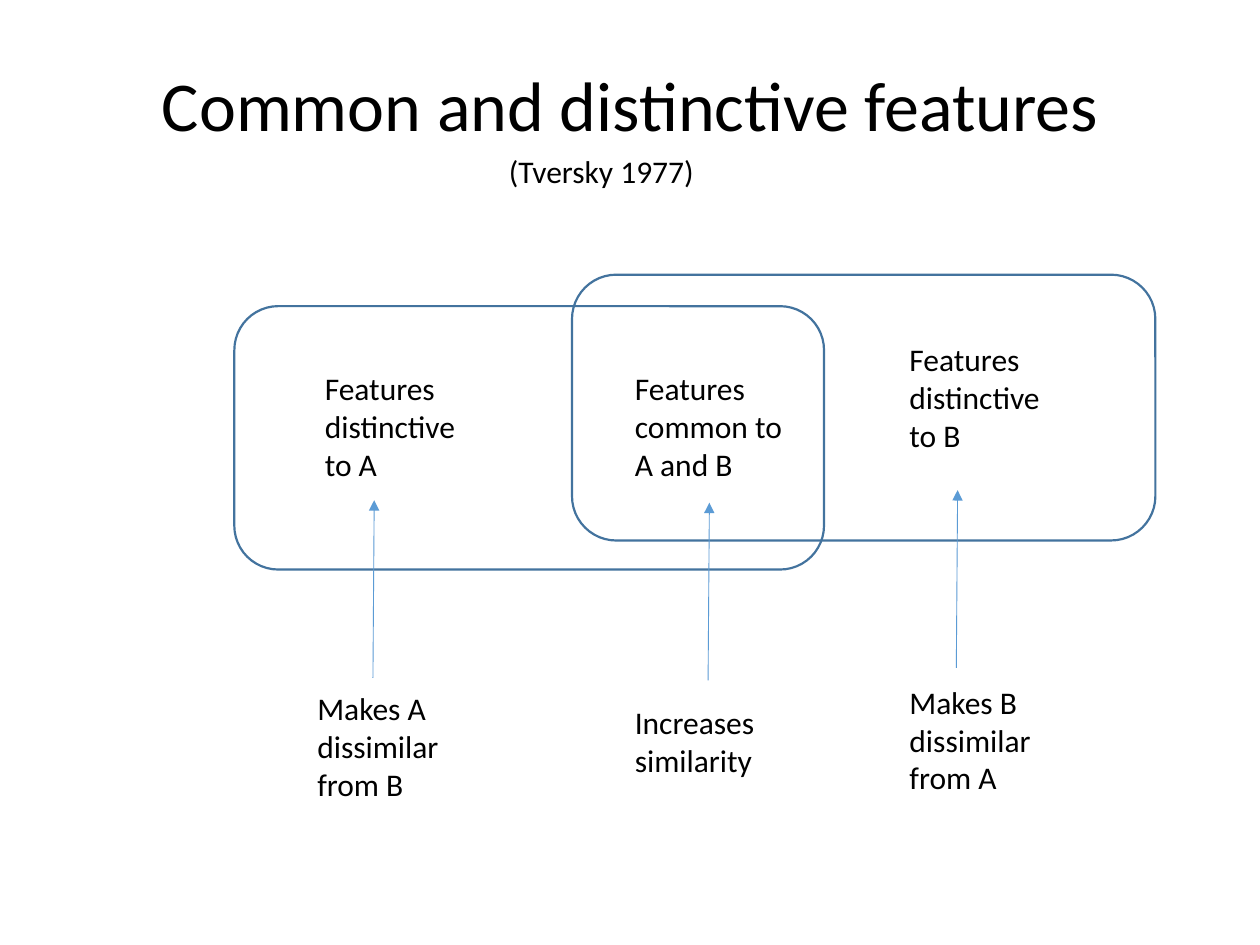
from typing import NamedTuple

from lxml import etree
from pptx import Presentation
from pptx import util as u
from pptx.dml.color import RGBColor
from pptx.enum import shapes, text
from pptx.oxml.ns import qn

PX = u.Inches(1) // 100  # 100 px to the inch
FONT = "Calibri"
BLACK = RGBColor(0x00, 0x00, 0x00)
OUTLINE = RGBColor(0x43, 0x73, 0x9E)
ARROW = RGBColor(0x5B, 0x9B, 0xD5)


class Box(NamedTuple):
    left: int
    top: int
    width: int
    height: int

    def emu(self) -> list[int]:
        return [value * PX for value in self]


class Label(NamedTuple):
    words: str
    box: Box
    wrap: bool = True


class Arrow(NamedTuple):
    x: int
    tip: int


ARROW_RISE = 141
ARROW_LEAN = 1

TITLE_BOX = Box(69, 40, 862, 92)
FEATURE_SETS = [Box(186, 243, 468, 209), Box(454, 218, 463, 211)]
LABELS = [
    Label("(Tversky 1977)", Box(394, 116, 175, 40), wrap=False),
    Label("Features distinctive to A", Box(248, 288, 126, 101)),
    Label("Features common to A and B", Box(494, 288, 138, 101)),
    Label("Features distinctive to B", Box(712, 265, 126, 101)),
    Label("Makes A dissimilar from B", Box(242, 542, 140, 101)),
    Label("Increases similarity", Box(494, 553, 140, 71)),
    Label("Makes B dissimilar from A", Box(712, 537, 140, 101)),
]
ARROWS = [Arrow(296, 397), Arrow(562, 399), Arrow(759, 389)]


def style_text(para, size: int) -> None:
    para.font.name = FONT
    para.font.size = u.Pt(size)
    para.font.color.rgb = BLACK


def set_title(slide, words: str) -> None:
    title = slide.shapes.title
    title.left, title.top, title.width, title.height = TITLE_BOX.emu()
    frame = title.text_frame
    frame.text = words
    frame.vertical_anchor = text.MSO_ANCHOR.MIDDLE
    para = frame.paragraphs[0]
    para.alignment = text.PP_ALIGN.CENTER
    para.line_spacing = 0.9
    style_text(para, 40)


def add_feature_set(slide, box: Box) -> None:
    shape = slide.shapes.add_shape(
        shapes.MSO_SHAPE.ROUNDED_RECTANGLE, *box.emu())
    shape.shadow.inherit = False
    shape.fill.background()
    shape.line.color.rgb = OUTLINE
    shape.line.width = u.Pt(1.25)


def add_label(slide, label: Label) -> None:
    frame = slide.shapes.add_textbox(*label.box.emu()).text_frame
    frame.text = label.words
    frame.word_wrap = label.wrap
    frame.auto_size = text.MSO_AUTO_SIZE.SHAPE_TO_FIT_TEXT
    style_text(frame.paragraphs[0], 18)


def add_arrow(slide, arrow: Arrow) -> None:
    ends = (arrow.x, arrow.tip + ARROW_RISE, arrow.x + ARROW_LEAN, arrow.tip)
    connector = slide.shapes.add_connector(
        shapes.MSO_CONNECTOR.STRAIGHT, *(value * PX for value in ends))
    connector.line.color.rgb = ARROW
    connector.line.width = u.Pt(0.5)
    etree.SubElement(connector.line._get_or_add_ln(), qn("a:tailEnd"),
                     type="triangle")
    etree.SubElement(connector._element.spPr, qn("a:effectLst"))


def main() -> None:
    deck = Presentation()
    deck.slide_width, deck.slide_height = 1000 * PX, 750 * PX
    page = deck.slides.add_slide(deck.slide_layouts.get_by_name("Title Only"))

    set_title(page, "Common and distinctive features")

    # Overlapping feature sets A and B
    for box in FEATURE_SETS:
        add_feature_set(page, box)

    # Feature names and their effects, joined by arrows
    for label in LABELS:
        add_label(page, label)
    for arrow in ARROWS:
        add_arrow(page, arrow)

    deck.save("out.pptx")


if __name__ == "__main__":
    main()
